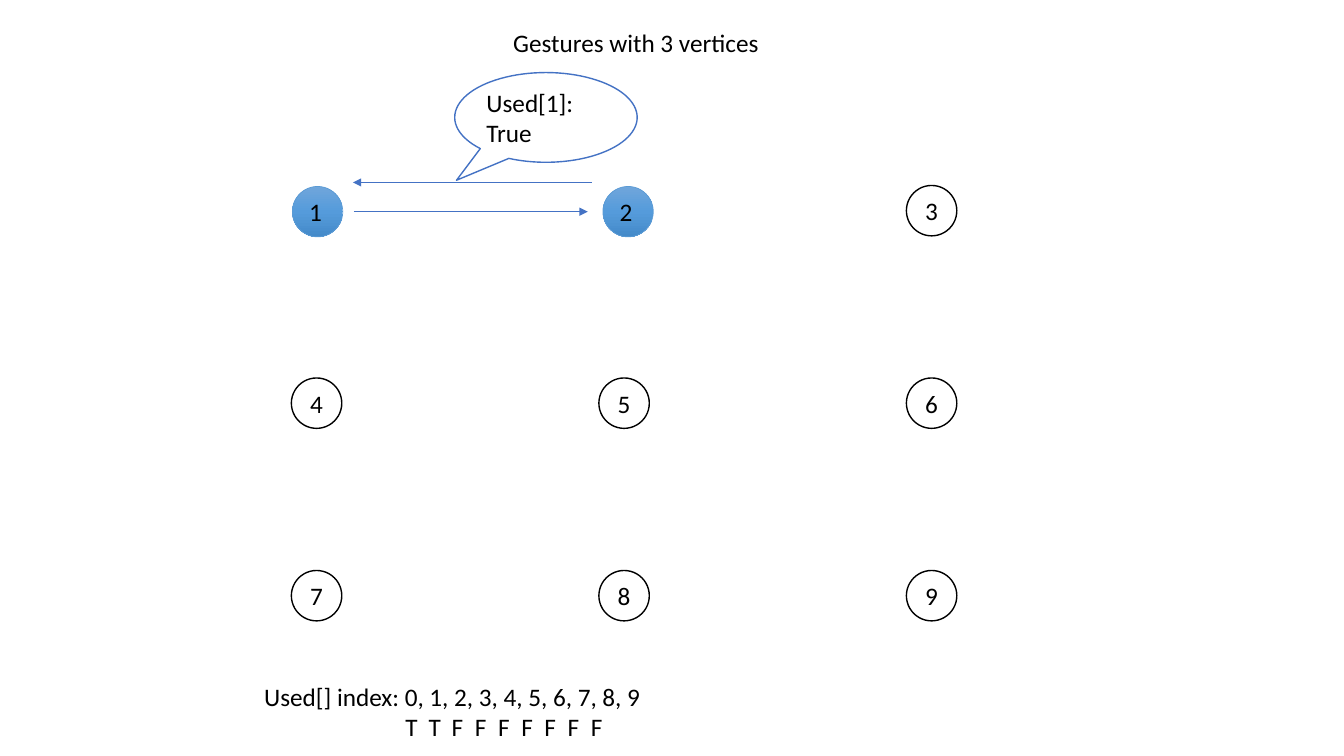
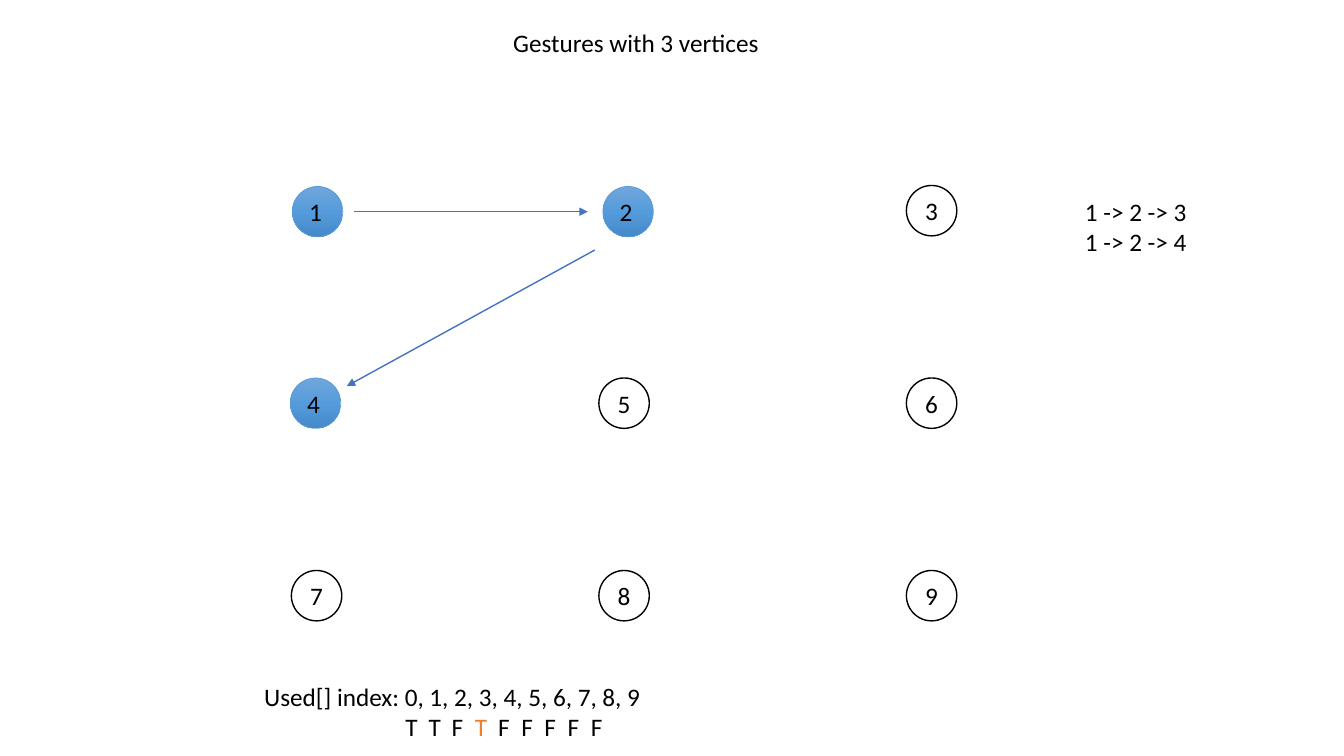
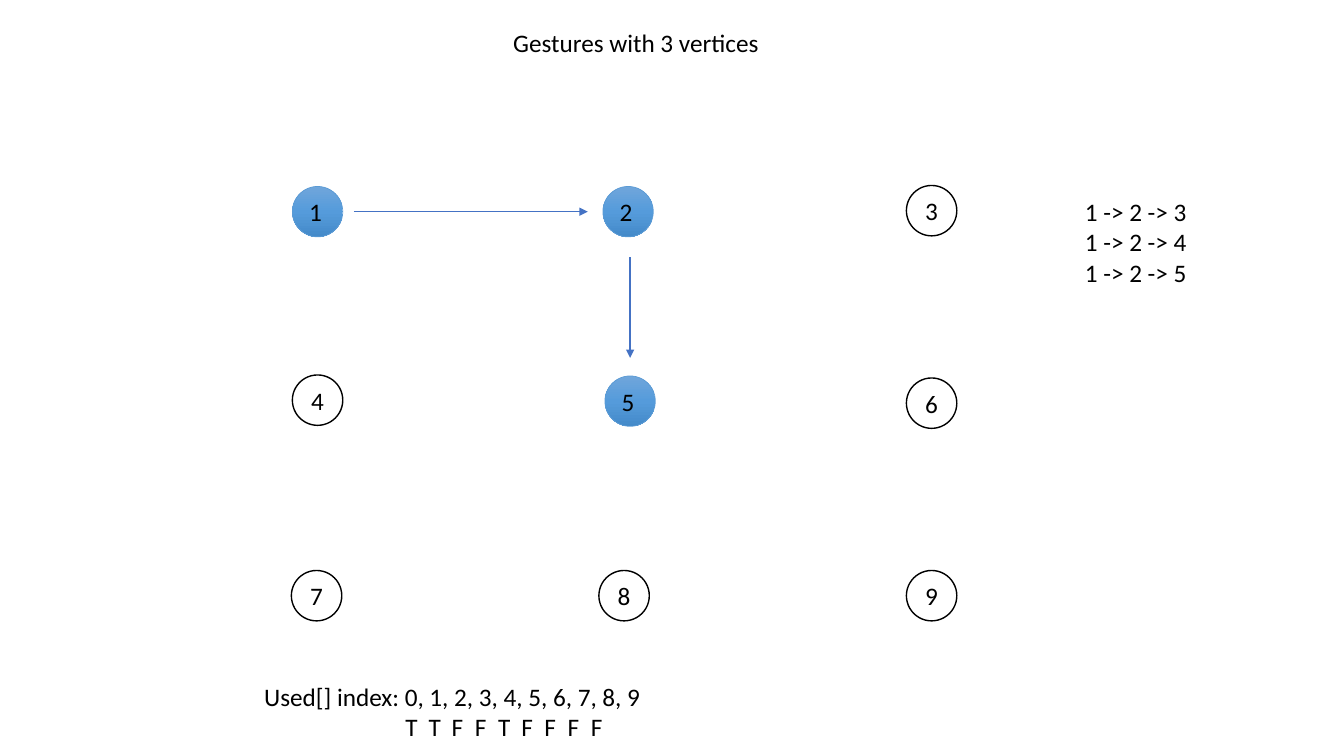
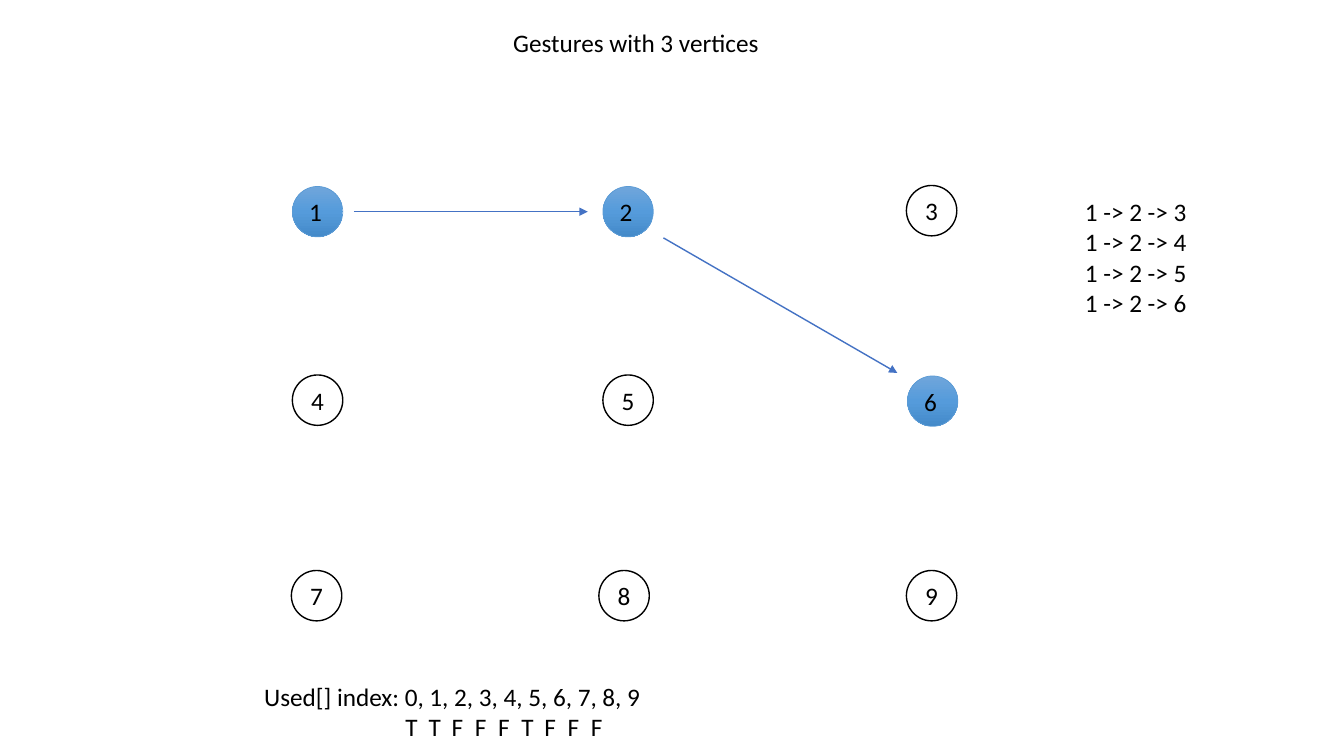
from copy import deepcopy

from lxml import etree
from pptx import Presentation
from pptx.dml.color import RGBColor
from pptx.enum.shapes import MSO_CONNECTOR, MSO_SHAPE
from pptx.enum.text import MSO_ANCHOR, MSO_AUTO_SIZE, PP_ALIGN
from pptx.oxml.ns import qn
from pptx.util import Inches, Pt

OVAL = MSO_SHAPE.OVAL
CALLOUT = MSO_SHAPE.OVAL_CALLOUT
STRAIGHT = MSO_CONNECTOR.STRAIGHT
TOP, MIDDLE = MSO_ANCHOR.TOP, MSO_ANCHOR.MIDDLE
LEFT, CENTER = PP_ALIGN.LEFT, PP_ALIGN.CENTER
NO_AUTOFIT = MSO_AUTO_SIZE.NONE

BLACK = RGBColor(0x00, 0x00, 0x00)
WHITE = RGBColor(0xFF, 0xFF, 0xFF)
BLUE = RGBColor(0x44, 0x72, 0xC4)
ORANGE = RGBColor(0xED, 0x7D, 0x31)
VISITED_EDGE = RGBColor(0x5B, 0x9B, 0xD5)
VISITED_STOPS = (
    (0, RGBColor(0x70, 0xA6, 0xDB)),
    (0.5, RGBColor(0x55, 0x9B, 0xDB)),
    (1, RGBColor(0x44, 0x8A, 0xC9)),
)

TEXT_FONT = {"name": "Calibri", "size": Pt(18), "bold": False}
INSET = Inches(0.05)
FRAME = {
    "margin_left": INSET,
    "margin_top": INSET,
    "margin_right": INSET,
    "margin_bottom": INSET,
    "auto_size": NO_AUTOFIT,
}

TITLE = "Gestures with 3 vertices"
INDEX_LINE = "Used[] index: 0, 1, 2, 3, 4, 5, 6, 7, 8, 9"
GRID_LEFT, GRID_TOP = 2.89, 1.84
COLUMN_STEP, ROW_STEP = 3.05, 1.91
DIAMETER = 0.5
FIRST_MARK, MARK_STEP = 1.4, 0.23
START_PLACES = {1: (2.9, 1.85), 2: (5.98, 1.85)}
FIRST_MOVE = ((3.51, 2.1), (5.83, 2.1))

STEPS = (
    {
        "visited": (1, 2),
        "places": {},
        "move": ((5.87, 1.81), (3.5, 1.81)),
        "marks": "TTFFFFFFF",
        "changed": None,
        "last_path": None,
        "callout": "Used[1]: True",
    },
    {
        "visited": (1, 2, 4),
        "places": {4: (2.88, 3.75)},
        "move": ((5.9, 2.48), (3.44, 3.83)),
        "marks": "TTFTFFFFF",
        "changed": 3,
        "last_path": 4,
        "callout": None,
    },
    {
        "visited": (1, 2, 5),
        "places": {4: (2.9, 3.72), 5: (6, 3.73)},
        "move": ((6.25, 2.55), (6.25, 3.55)),
        "marks": "TTFFTFFFF",
        "changed": None,
        "last_path": 5,
        "callout": None,
    },
    {
        "visited": (1, 2, 6),
        "places": {4: (2.9, 3.72), 5: (5.98, 3.72), 6: (9, 3.73)},
        "move": ((6.58, 2.36), (8.9, 3.7)),
        "marks": "TTFFFTFFF",
        "changed": None,
        "last_path": 6,
        "callout": None,
    },
)


def apply(target, values):
    for name, value in values.items():
        setattr(target, name, value)


def inches(*lengths):
    return [Inches(length) for length in lengths]


def add_run(paragraph, text, color=BLACK):
    run = paragraph.add_run()
    run.text = text
    apply(run.font, TEXT_FONT)
    run.font.color.rgb = color


def write_lines(frame, lines, align=LEFT, anchor=TOP, wrap=True):
    apply(frame, FRAME | {"vertical_anchor": anchor, "word_wrap": wrap})
    for number, line in enumerate(lines):
        paragraph = frame.add_paragraph() if number else frame.paragraphs[0]
        paragraph.alignment = align
        add_run(paragraph, line)


def add_title(slide):
    title = slide.shapes.title
    left, top, width, height = inches(5.04, 0.22, 2.83, 0.39)
    apply(title, {"left": left, "top": top, "width": width, "height": height})
    write_lines(title.text_frame, [TITLE], wrap=False)


def add_outline(slide, preset, box, edge, weight):
    outline = slide.shapes.add_shape(preset, *inches(*box))
    outline.shadow.inherit = False
    outline.fill.solid()
    outline.fill.fore_color.rgb = WHITE
    outline.line.color.rgb = edge
    outline.line.width = Pt(weight)
    return outline


def fill_visited(vertex):
    vertex.fill.gradient()
    vertex.fill.gradient_angle = 270
    stop_list = vertex._element.spPr.find(".//" + qn("a:gsLst"))
    stop_list.insert(1, deepcopy(stop_list[0]))
    for stop, (position, color) in zip(vertex.fill.gradient_stops, VISITED_STOPS):
        stop.position = position
        stop.color.rgb = color


def add_vertex(slide, number, place, visited):
    edge, weight = (VISITED_EDGE, 0.5) if visited else (BLACK, 1)
    vertex = add_outline(slide, OVAL, (*place, DIAMETER, DIAMETER), edge, weight)
    write_lines(vertex.text_frame, [str(number)], CENTER, MIDDLE, wrap=False)
    if visited:
        fill_visited(vertex)
        vertex.text_frame.margin_right = Inches(0.09)


def add_vertices(slide, visited, places):
    for number in range(1, 10):
        row, column = divmod(number - 1, 3)
        grid_place = (GRID_LEFT + column * COLUMN_STEP, GRID_TOP + row * ROW_STEP)
        add_vertex(slide, number, places.get(number, grid_place), number in visited)


def add_arrow(slide, start, end):
    arrow = slide.shapes.add_connector(STRAIGHT, *inches(*start, *end))
    arrow.line.color.rgb = BLUE
    arrow.line.width = Pt(1)
    etree.SubElement(arrow.line._get_or_add_ln(), qn("a:tailEnd"), type="triangle")
    etree.SubElement(arrow._element.spPr, qn("a:effectLst"))


def add_used_table(slide, marks, changed):
    frame = slide.shapes.add_textbox(*inches(2.57, 6.71, 7.78, 0.68)).text_frame
    write_lines(frame, [INDEX_LINE])
    mark_row = frame.add_paragraph()
    tabs = etree.SubElement(mark_row._p.get_or_add_pPr(), qn("a:tabLst"))
    for slot, mark in enumerate(marks):
        position = Inches(FIRST_MARK + slot * MARK_STEP)
        etree.SubElement(tabs, qn("a:tab"), pos=str(position), algn="l")
        add_run(mark_row, "\t" + mark, ORANGE if slot == changed else BLACK)


def add_paths(slide, last):
    paths = [f"1 -> 2 -> {vertex}" for vertex in range(3, last + 1)]
    box = slide.shapes.add_textbox(*inches(10.71, 1.9, 1.42, 5.06))
    write_lines(box.text_frame, paths)


def add_callout(slide, text):
    callout = add_outline(slide, CALLOUT, (4.51, 0.72, 1.81, 0.89), BLUE, 1)
    callout.adjustments[0] = -0.49
    callout.adjustments[1] = 0.7
    write_lines(callout.text_frame, [text], anchor=MIDDLE)


def add_step(deck, step):
    slide = deck.slides.add_slide(deck.slide_layouts[5])
    add_title(slide)
    add_vertices(slide, step["visited"], START_PLACES | step["places"])
    for start, end in (FIRST_MOVE, step["move"]):
        add_arrow(slide, start, end)
    add_used_table(slide, step["marks"], step["changed"])
    if step["last_path"]:
        add_paths(slide, step["last_path"])
    if step["callout"]:
        add_callout(slide, step["callout"])


def main():
    deck = Presentation()
    deck.slide_width, deck.slide_height = inches(13.33, 7.5)
    for step in STEPS:
        add_step(deck, step)
    deck.save("out.pptx")


if __name__ == "__main__":
    main()
